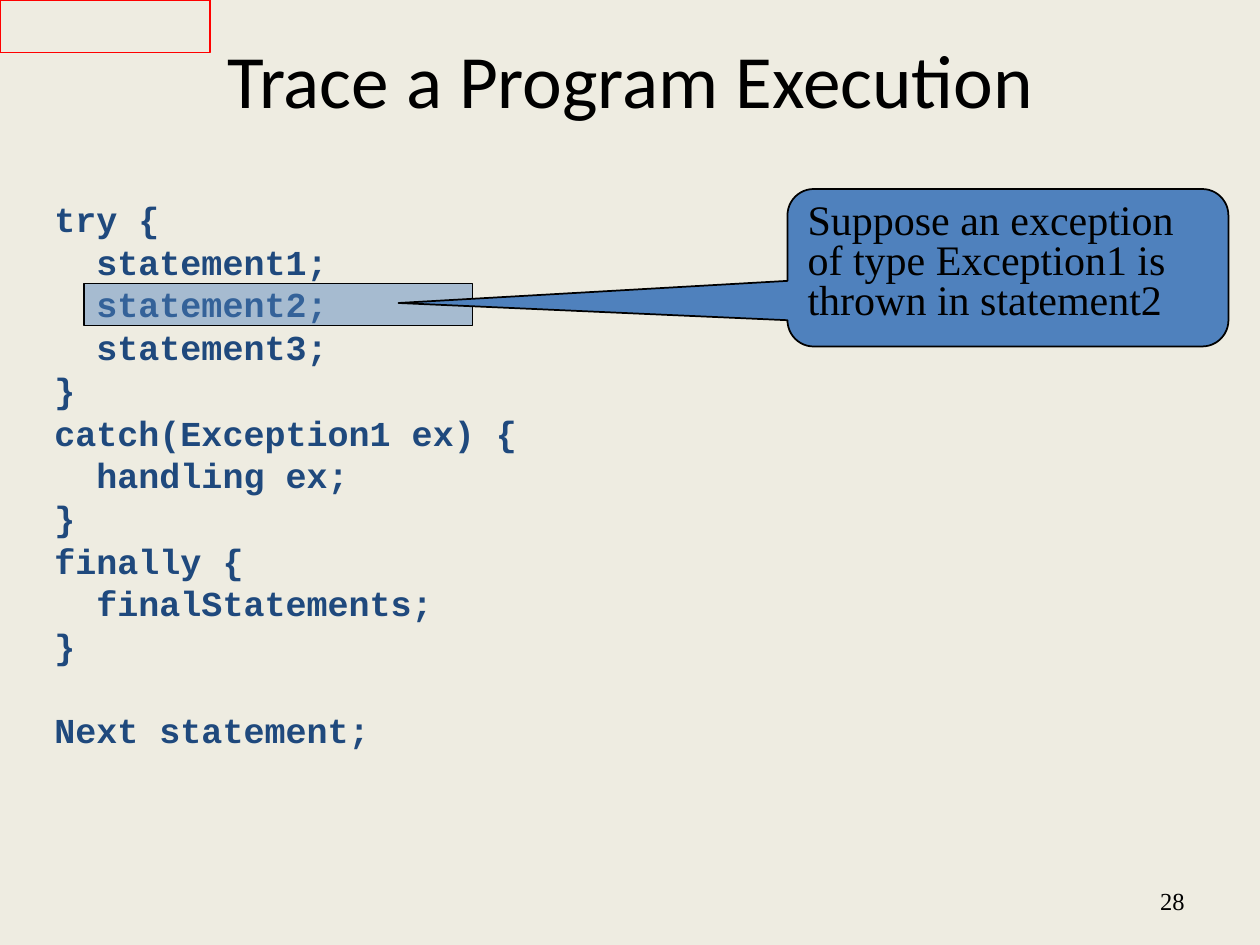
from lxml.etree import SubElement
from pptx import Presentation
from pptx.dml.color import RGBColor
from pptx.enum.shapes import MSO_SHAPE as Shape
from pptx.enum.text import MSO_ANCHOR as Anchor, PP_ALIGN as Align
from pptx.oxml.ns import qn
from pptx.util import Pt

BACKGROUND = RGBColor(0xEE, 0xEC, 0xE1)
BLACK = RGBColor(0x00, 0x00, 0x00)
NAVY = RGBColor(0x1F, 0x49, 0x7D)
BLUE = RGBColor(0x4F, 0x81, 0xBD)
RED = RGBColor(0xFF, 0x00, 0x00)

TITLE = "Trace a Program Execution"
CODE_BLOCKS = [
    [
        "try {",
        "  statement1;",
        "  statement2;",
        "  statement3;",
        "}",
        "catch(Exception1 ex) {",
        "  handling ex;",
        "}",
        "finally {",
        "  finalStatements;",
        "}",
    ],
    ["Next statement;"],
]
CALLOUT = "Suppose an exception of type Exception1 is thrown in statement2"
PAGE_NUMBER = "28"

# left, top, width, height in points
TITLE_BOX = (54, 24, 540 + 72, 42)
CODE_BOX = (24, 114, 366, 354)
PAGE_BOX = (516, 500.4, 168, 28.8)
CORNER_BOX = (0, 0, 120, 30)
HIGHLIGHT_BOX = (48, 162, 222, 24)
CALLOUT_BOX = (450, 108, 252, 90)

TITLE_FONT = {"name": "Calibri", "size": Pt(43)}
CODE_FONT = {"name": "Courier New", "size": Pt(20), "bold": True}
CALLOUT_FONT = {"name": "Times New Roman", "size": Pt(24)}
PAGE_FONT = {"name": "Times New Roman", "size": Pt(14)}
LINE_SPACING = 0.8
CODE_GAP = 5.2
BLOCK_GAP = 28.5


def points(box):
    return [Pt(value) for value in box]


def write(paragraph, text, font, color=BLACK, **layout):
    paragraph.text = text
    for name, value in font.items():
        setattr(paragraph.font, name, value)
    paragraph.font.color.rgb = color
    for name, value in layout.items():
        setattr(paragraph, name, value)


def add_text_frame(slide, box, anchor=Anchor.TOP):
    frame = slide.shapes.add_textbox(*points(box)).text_frame
    frame.word_wrap = True
    frame.vertical_anchor = anchor
    return frame


def add_outlined(slide, kind, box, line_color, fill_color=None):
    shape = slide.shapes.add_shape(kind, *points(box))
    shape.shadow.inherit = False
    shape.line.color.rgb = line_color
    shape.line.width = Pt(1)
    if fill_color is None:
        shape.fill.background()
    else:
        shape.fill.solid()
        shape.fill.fore_color.rgb = fill_color
    return shape


def set_opacity(shape, percent):
    color = shape.fill._xPr.find(qn("a:solidFill"))[0]
    SubElement(color, qn("a:alpha"), val=str(percent * 1000))


def add_title(slide):
    title = slide.shapes.title
    title.left, title.top, title.width, title.height = points(TITLE_BOX)
    title.text_frame.vertical_anchor = Anchor.MIDDLE
    write(title.text_frame.paragraphs[0], TITLE, TITLE_FONT, alignment=Align.CENTER)


def add_code(slide):
    frame = add_text_frame(slide, CODE_BOX)
    paragraph = frame.paragraphs[0]
    for block_index, block in enumerate(CODE_BLOCKS):
        for line_index, line in enumerate(block):
            if block_index or line_index:
                paragraph = frame.add_paragraph()
                paragraph.space_before = Pt(CODE_GAP if line_index else BLOCK_GAP)
            write(paragraph, line, CODE_FONT, NAVY, line_spacing=LINE_SPACING)


def add_callout(slide):
    callout = add_outlined(
        slide, Shape.ROUNDED_RECTANGULAR_CALLOUT, CALLOUT_BOX, BLACK, BLUE
    )
    for index, value in enumerate((-1.382, 0.224, 0.167)):
        callout.adjustments[index] = value
    frame = callout.text_frame
    frame.word_wrap = True
    frame.vertical_anchor = Anchor.TOP
    write(frame.paragraphs[0], CALLOUT, CALLOUT_FONT,
          alignment=Align.LEFT, line_spacing=LINE_SPACING)


def main():
    presentation = Presentation()
    presentation.slide_width, presentation.slide_height = Pt(720), Pt(540)
    slide = presentation.slides.add_slide(presentation.slide_layouts[5])
    slide.background.fill.solid()
    slide.background.fill.fore_color.rgb = BACKGROUND

    add_title(slide)
    add_code(slide)
    page_frame = add_text_frame(slide, PAGE_BOX, Anchor.MIDDLE)
    write(page_frame.paragraphs[0], PAGE_NUMBER, PAGE_FONT, alignment=Align.RIGHT)
    add_outlined(slide, Shape.RECTANGLE, CORNER_BOX, RED)
    highlight = add_outlined(slide, Shape.RECTANGLE, HIGHLIGHT_BOX, BLACK, BLUE)
    set_opacity(highlight, 45)
    add_callout(slide)
    presentation.save("out.pptx")


if __name__ == "__main__":
    main()
